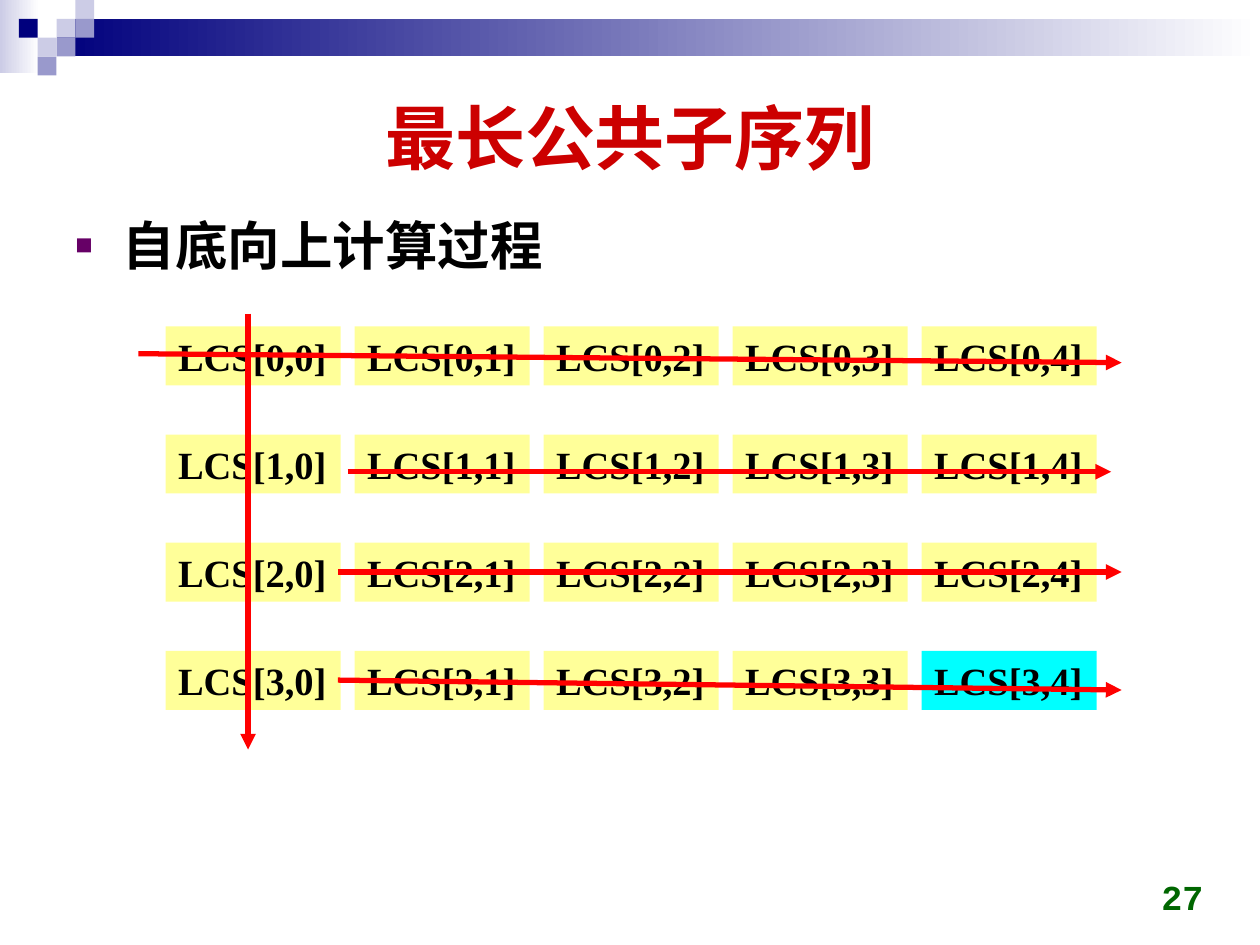
from lxml import etree
from pptx import Presentation
from pptx.dml.color import RGBColor
from pptx.enum.shapes import MSO_CONNECTOR, MSO_SHAPE
from pptx.enum.text import MSO_ANCHOR, MSO_AUTO_SIZE, PP_ALIGN
from pptx.oxml.ns import qn
from pptx.util import Cm, Pt

RECT = MSO_SHAPE.RECTANGLE
STRAIGHT = MSO_CONNECTOR.STRAIGHT
TOP, MIDDLE, BOTTOM = MSO_ANCHOR.TOP, MSO_ANCHOR.MIDDLE, MSO_ANCHOR.BOTTOM
LEFT, CENTER, RIGHT = PP_ALIGN.LEFT, PP_ALIGN.CENTER, PP_ALIGN.RIGHT
FIT = MSO_AUTO_SIZE.SHAPE_TO_FIT_TEXT

NAVY, LILAC, VIOLET, WHITE = "00007D", "CCCCE6", "9999CC", "FFFFFF"
YELLOW, CYAN, RED, BLACK = "FFFF99", "00FFFF", "FF0000", "000000"


def color(hex_text):
    """Turn a hex string into a colour."""
    return RGBColor.from_string(hex_text)


def add_rect(slide, box, *fills):
    """Add a borderless rectangle with a solid or left-to-right gradient fill."""
    shape = slide.shapes.add_shape(RECT, *map(Cm, box))
    shape.shadow.inherit = False
    shape.line.fill.background()
    if len(fills) == 1:
        shape.fill.solid()
        shape.fill.fore_color.rgb = color(fills[0])
    else:
        shape.fill.gradient()
        shape.fill.gradient_angle = 0
        for stop, hex_text in zip(shape.fill.gradient_stops, fills):
            stop.color.rgb = color(hex_text)
    return shape


def write(shape, text, size, font, hex_text, align=LEFT, anchor=TOP, wrap=True):
    """Write one bold line in a shape and return its paragraph."""
    frame = shape.text_frame
    frame.word_wrap = wrap
    frame.vertical_anchor = anchor
    para = frame.paragraphs[0]
    para.alignment = align
    span = para.add_run()
    span.text = text
    span.font.size = Pt(size)
    span.font.name = font
    span.font.bold = True
    span.font.color.rgb = color(hex_text)
    return para


def add_bullet(para, char, hex_text, percent, indent):
    """Give a paragraph a coloured bullet and a hanging indent."""
    props = para._p.get_or_add_pPr()
    props.set("marL", str(Cm(indent)))
    props.set("indent", str(-Cm(indent)))
    bullet_color = etree.SubElement(props, qn("a:buClr"))
    etree.SubElement(bullet_color, qn("a:srgbClr"), val=hex_text)
    etree.SubElement(props, qn("a:buSzPct"), val=str(percent * 1000))
    etree.SubElement(props, qn("a:buFont"), typeface="Arial")
    etree.SubElement(props, qn("a:buChar"), char=char)


def add_arrow(slide, start, end):
    """Draw a red arrow between two points."""
    arrow = slide.shapes.add_connector(STRAIGHT, *map(Cm, (*start, *end)))
    arrow.line.color.rgb = color(RED)
    arrow.line.width = Pt(3)
    etree.SubElement(arrow.line._get_or_add_ln(), qn("a:tailEnd"), type="triangle")
    etree.SubElement(arrow._element.spPr, qn("a:effectLst"))


def draw_header(slide, left, top, width):
    """Draw the gradient band and its checkered squares."""
    side = 0.38
    add_rect(slide, (left, top, 0.79, 1.47), LILAC, WHITE)
    add_rect(slide, (left + 3 * side, top + side, width - 3 * side, 0.76), NAVY, WHITE)
    squares = [(3, 1, LILAC), (4, 0, LILAC), (4, 1, VIOLET), (2, 2, LILAC),
               (1, 1, NAVY), (3, 2, VIOLET), (2, 3, VIOLET)]
    for col, row, fill in squares:
        add_rect(slide, (left + col * side, top + row * side, side, side), fill)


def draw_texts(slide, left, top, width):
    """Place the title, the bullet line and the page number."""
    title = slide.shapes.add_textbox(*map(Cm, (left, top, width, 2.95)))
    write(title, "最长公共子序列", 40, "Arial", "CC0000", CENTER, MIDDLE)
    body = slide.shapes.add_textbox(*map(Cm, (left, top + 2.84, width, 13.2)))
    para = write(body, "自底向上计算过程", 30, "Arial", BLACK)
    para.line_spacing = 1.05
    para.space_before = Pt(4.5)
    add_bullet(para, "■", "660066", 55, 0.96)
    number = slide.shapes.add_textbox(
        *map(Cm, (left + width - 5.54, top + 16.08, 5.92, 1.27)))
    write(number, "27", 20, "Courier New", "006600", RIGHT, BOTTOM)


def draw_table_fill(slide, left, top, rows, cols):
    """Draw the grid of subproblems and the arrows showing the order of work."""
    step_x, step_y = 3.81, 2.18
    for row in range(rows):
        for col in range(cols):
            last = (row, col) == (rows - 1, cols - 1)
            box = (left + col * step_x, top + row * step_y, 3.53, 1.19)
            cell = add_rect(slide, box, CYAN if last else YELLOW)
            write(cell, f"LCS[{row},{col}]", 22, "Times New Roman", BLACK, wrap=False)
            cell.text_frame.auto_size = FIT

    add_arrow(slide, (left + 1.66, top - 0.26), (left + 1.66, top + 8.53))
    # Each row arrow: start x, start y, end x, end y from the grid corner
    for x1, y1, x2, y2 in [(-0.55, 0.55, 19.27, 0.73), (3.67, 2.93, 19.06, 2.93),
                           (3.47, 4.95, 19.27, 4.95), (3.47, 7.13, 19.27, 7.33)]:
        add_arrow(slide, (left + x1, top + y1), (left + x2, top + y2))


def build():
    """Build the slide and save the deck."""
    deck = Presentation()
    deck.slide_width, deck.slide_height = Cm(25.4), Cm(19.05)
    page = deck.slides.add_slide(deck.slide_layouts[6])
    draw_header(page, 0, 0, 25.4)
    draw_texts(page, 1.27, 1.27, 22.86)
    draw_table_fill(page, 3.34, 6.58, rows=4, cols=5)
    deck.save("out.pptx")


build()
